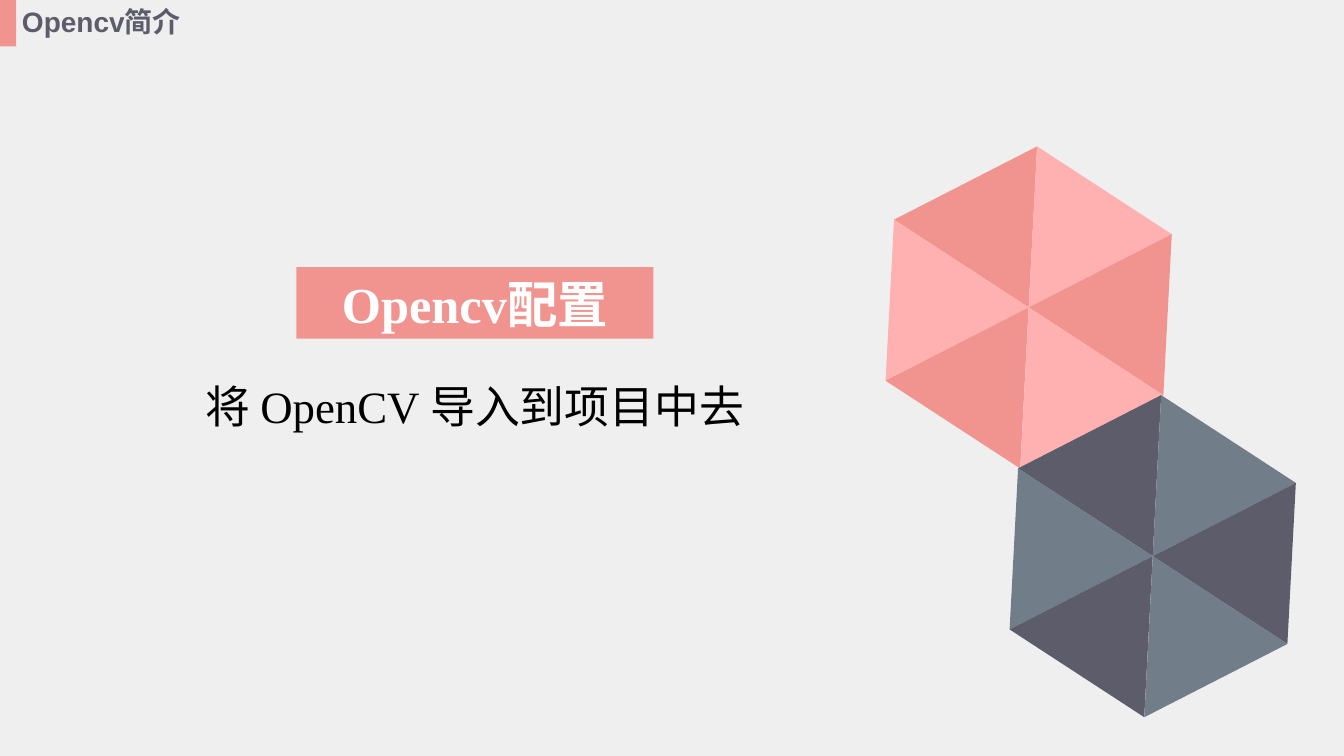
from dataclasses import dataclass
from math import cos, radians, sin

from pptx import Presentation
from pptx.dml.color import RGBColor
from pptx.enum.shapes import MSO_SHAPE
from pptx.enum.text import MSO_ANCHOR, MSO_AUTO_SIZE, PP_ALIGN
from pptx.util import Inches, Pt

RECT = MSO_SHAPE.RECTANGLE
TRIANGLE = MSO_SHAPE.ISOSCELES_TRIANGLE
TOP, MIDDLE = MSO_ANCHOR.TOP, MSO_ANCHOR.MIDDLE
LEFT, CENTER = PP_ALIGN.LEFT, PP_ALIGN.CENTER
FIXED = MSO_AUTO_SIZE.NONE
WIDE, HIGH = Inches(13.33), Inches(7.5)


@dataclass(frozen=True)
class Theme:
    paper: str = "EFEFEF"
    coral: str = "F19490"
    pink: str = "FFB1B1"
    slate: str = "717E89"
    dark: str = "5C5C6A"
    white: str = "FFFFFF"
    black: str = "000000"
    sans: str = "Arial"
    serif: str = "Times New Roman"
    small: int = 20
    body: int = 32
    large: int = 36


THEME = Theme()


def across(share):
    return round(WIDE * share / 100)


def down(share):
    return round(HIGH * share / 100)


def area(left, top, width, height):
    return across(left), down(top), across(width), down(height)


def paint(shape, color):
    shape.fill.solid()
    shape.fill.fore_color.rgb = RGBColor.from_string(color)


def add_form(slide, kind, box, color):
    form = slide.shapes.add_shape(kind, *box)
    form.shadow.inherit = False
    form.line.fill.background()
    paint(form, color)
    return form


def move(shape, box):
    shape.left, shape.top, shape.width, shape.height = box


def write(shape, text, font, size, color, bold=False, align=LEFT, anchor=TOP):
    frame = shape.text_frame
    frame.text = text
    frame.word_wrap = True
    frame.auto_size = FIXED
    frame.vertical_anchor = anchor
    para = frame.paragraphs[0]
    para.alignment = align
    para.space_before = Pt(0)
    para.font.name = font
    para.font.size = Pt(size)
    para.font.bold = bold
    para.font.color.rgb = RGBColor.from_string(color)


def add_header(slide):
    add_form(slide, RECT, area(0, 0, 1.2, 6.13), THEME.coral)
    label = slide.shapes.add_textbox(*area(0.9, 0, 21.75, 5.87))
    write(label, "Opencv简介", THEME.sans, THEME.small, THEME.dark, bold=True)


def fill_title(slide):
    title = slide.shapes.title
    move(title, area(22.06, 35.33, 26.56, 9.47))
    paint(title, THEME.coral)
    write(title, "Opencv配置", THEME.serif, THEME.large, THEME.white,
          bold=True, align=CENTER, anchor=MIDDLE)


def fill_body(slide):
    body = slide.placeholders[1]
    move(body, area(12.83, 50.13, 45, 7.2))
    frame = body.text_frame
    frame.margin_left = frame.margin_right = 0
    frame.margin_top = frame.margin_bottom = 0
    write(body, "将 OpenCV 导入到项目中去", THEME.serif, THEME.body,
          THEME.black, align=CENTER)


def add_hexagon(slide, mid_x, mid_y, light, dark):
    tilt = 3
    edge, depth = across(12), across(10.35)
    turn = radians(tilt)
    for side in (-1, 1):
        for row in (-1, 0, 1):
            right = (side < 0) == (row == 0)
            along, drop = side * depth / 2, row * edge / 2
            x = across(mid_x) + along * cos(turn) - drop * sin(turn)
            y = down(mid_y) + along * sin(turn) + drop * cos(turn)
            box = round(x - edge / 2), round(y - depth / 2), edge, depth
            piece = add_form(slide, TRIANGLE, box, light if right else dark)
            piece.rotation = tilt + (90 if right else 270)


def main():
    deck = Presentation()
    deck.slide_width, deck.slide_height = WIDE, HIGH
    slide = deck.slides.add_slide(deck.slide_layouts[0])
    paint(slide.background, THEME.paper)
    add_header(slide)
    fill_title(slide)
    fill_body(slide)
    add_hexagon(slide, 76.54, 40.67, THEME.pink, THEME.coral)
    add_hexagon(slide, 85.77, 73.57, THEME.slate, THEME.dark)
    deck.save("out.pptx")


if __name__ == "__main__":
    main()
